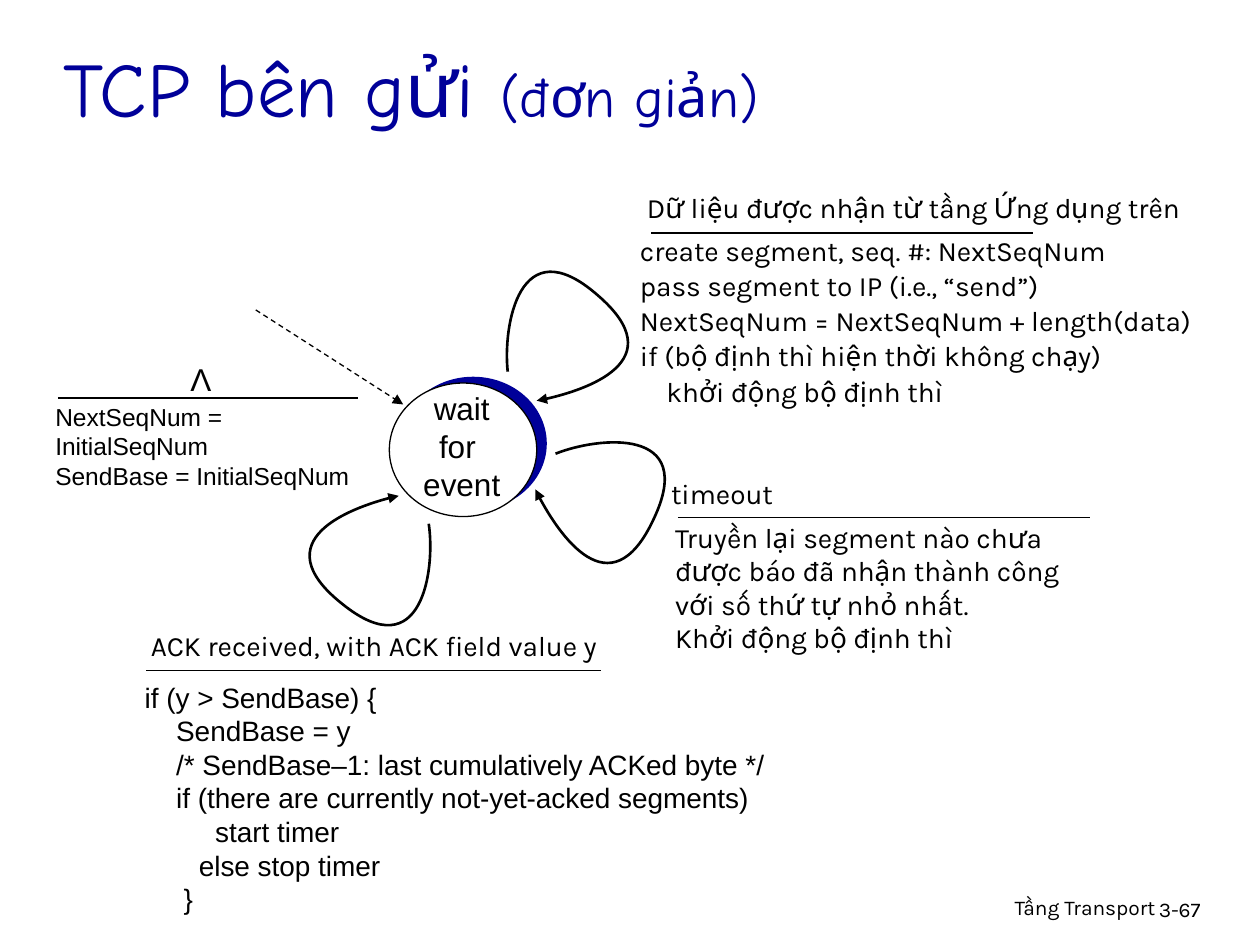
from dataclasses import dataclass
from typing import Optional

from lxml.etree import SubElement
from pptx import Presentation
from pptx.dml.color import RGBColor
from pptx.enum.dml import MSO_LINE_DASH_STYLE as Dash
from pptx.enum.shapes import MSO_CONNECTOR as Connector, MSO_SHAPE as Preset
from pptx.enum.text import MSO_ANCHOR as Anchor, MSO_AUTO_SIZE as Fit, PP_ALIGN as Align
from pptx.oxml.ns import qn
from pptx.util import Inches, Length, Pt

# The page is a grid of 100 columns by 75 rows of square cells
COLUMNS, ROWS = 100, 75
COLORS = {"ink": "000000", "navy": "000099", "paper": "FFFFFF"}
STATE_SIZE = (11.7, 10.6)
LOOP_POINTS = [(0.4, 11.5), (0, 7.9), (1.3, 0), (7.5, 5.4),
               (13.7, 10.7), (5.3, 13.4), (2.7, 13.8)]


@dataclass
class Label:
    column: float
    row: float
    columns: float
    rows: float
    lines: list[str]
    size: int = 16
    font: str = "Karla"
    color: str = "ink"
    align: Align = Align.LEFT
    wrap: bool = False
    anchor: Anchor = Anchor.TOP
    spacing: Optional[float] = None
    indents: tuple[float, ...] = ()


@dataclass
class Rule:
    start: tuple[float, float]
    end: tuple[float, float]
    arrow: bool = False


@dataclass
class Loop:
    column: float
    row: float
    rotation: float = 0


def cells(count: float) -> Length:
    return Inches(count / 10)


def rgb(name: str) -> RGBColor:
    return RGBColor.from_string(COLORS[name])


def add_arrowhead(shape) -> None:
    SubElement(shape.line._get_or_add_ln(), qn("a:tailEnd"), type="triangle")


def add_label(page, label: Label):
    box = page.shapes.add_textbox(*map(cells, (label.column, label.row,
                                               label.columns, label.rows)))
    frame = box.text_frame
    frame.word_wrap = label.wrap
    frame.auto_size = Fit.NONE if label.wrap else Fit.SHAPE_TO_FIT_TEXT
    frame.vertical_anchor = label.anchor
    frame.text = "\n".join(label.lines)
    for index, para in enumerate(frame.paragraphs):
        para.alignment = label.align
        para.line_spacing = label.spacing
        para.font.size = Pt(label.size)
        para.font.name = label.font
        para.font.color.rgb = rgb(label.color)
        if label.indents:
            para._p.get_or_add_pPr().set("marL", str(cells(label.indents[index])))
    return box


def add_rule(page, rule: Rule) -> None:
    line = page.shapes.add_connector(Connector.STRAIGHT,
                                     *map(cells, rule.start + rule.end))
    line.line.color.rgb = rgb("ink")
    line.line.width = Pt(0.75)
    if rule.arrow:
        line.line.dash_style = Dash.DASH
        add_arrowhead(line)
    SubElement(line._element.spPr, qn("a:effectLst"))


def add_state(page, column: float, row: float, fill: str, outlined: bool) -> None:
    oval = page.shapes.add_shape(Preset.OVAL, *map(cells, (column, row) + STATE_SIZE))
    oval.shadow.inherit = False
    oval.fill.solid()
    oval.fill.fore_color.rgb = rgb(fill)
    if outlined:
        oval.line.color.rgb = rgb("ink")
        oval.line.width = Pt(0.75)
    else:
        oval.line.fill.background()


def add_loop(page, loop: Loop) -> None:
    start, *rest = [(cells(x), cells(y)) for x, y in LOOP_POINTS]
    builder = page.shapes.build_freeform(*start)
    builder.add_line_segments(rest, close=False)
    shape = builder.convert_to_shape(cells(loop.column), cells(loop.row))
    # Every three straight segments become one Bézier curve
    outline = next(shape._element.iter(qn("a:path")))
    segments = outline.findall(qn("a:lnTo"))
    for first in range(0, len(segments), 3):
        curve = SubElement(outline, qn("a:cubicBezTo"))
        for segment in segments[first:first + 3]:
            curve.append(segment[0])
            outline.remove(segment)
    shape.rotation = loop.rotation
    shape.shadow.inherit = False
    shape.fill.background()
    shape.line.color.rgb = rgb("ink")
    shape.line.width = Pt(1.5)
    add_arrowhead(shape)


TITLE = Label(4.1, 2, 84.6, 9.8, ["TCP bên gửi "], 44, "Comic Neue", "navy",
              wrap=True, anchor=Anchor.MIDDLE)

LABELS = [
    # Footer
    Label(61, 70.5, 31.7, 3.1, ["Tầng Transport"], 12, align=Align.RIGHT, wrap=True),
    Label(91, 70.7, 7.4, 3, ["3-67"], 12, wrap=True),
    # State and its initial action
    Label(32.6, 30.4, 8.1, 10, ["wait", "for ", "event"], 18, "Arial", align=Align.CENTER),
    Label(14.1, 28.1, 3.7, 4, ["Λ"], 18, "Arial", align=Align.CENTER),
    Label(3.4, 31.4, 27.9, 5.7,
          ["NextSeqNum = InitialSeqNum", "SendBase = InitialSeqNum"], 14, "Arial"),
    # Data from above
    Label(49.8, 14.6, 45.4, 3.7, ["Dữ liệu được nhận từ tầng Ứng dụng trên"],
          align=Align.CENTER),
    Label(49.8, 17.9, 47.8, 17.7,
          ["create segment, seq. #: NextSeqNum",
           "pass segment to IP (i.e., “send”)",
           "NextSeqNum = NextSeqNum + length(data)",
           "if (bộ định thì hiện thời không chạy)",
           "khởi động bộ định thì"],
          spacing=1.05, indents=(0, 0, 0, 0, 2.1)),
    # Timeout
    Label(52.2, 37.3, 10.2, 3.7, ["timeout"], align=Align.CENTER),
    Label(52.6, 40.8, 36, 11.7,
          ["Truyền lại segment nào chưa được báo đã nhận thành công "
           "với số thứ tự nhỏ nhất.",
           "Khởi động bộ định thì"], wrap=True),
    # ACK received
    Label(10.2, 49.4, 39.5, 3.7, ["ACK received, with ACK field value y "],
          align=Align.CENTER),
    Label(10.5, 53.5, 51.3, 19.7,
          ["if (y > SendBase) {",
           "SendBase = y",
           "/* SendBase–1: last cumulatively ACKed byte */",
           "if (there are currently not-yet-acked segments)",
           "start timer",
           "else stop timer",
           "}"],
          font="Arial", indents=(0, 2.5, 2.5, 2.5, 5.6, 4.3, 3.1)),
]

RULES = [
    Rule((20.3, 24.6), (32, 32.1), arrow=True),
    Rule((4.6, 31.6), (28.4, 31.6)),
    Rule((51.7, 18.5), (82, 18.5)),
    Rule((53.8, 41.1), (86.5, 41.1)),
    Rule((11.6, 53.2), (47.7, 53.2)),
]

LOOPS = [Loop(39.9, 18), Loop(43.4, 34.1, 74.5), Loop(20.9, 39.5, 177.9)]


def main() -> None:
    deck = Presentation()
    deck.slide_width, deck.slide_height = cells(COLUMNS), cells(ROWS)
    page = deck.slides.add_slide(deck.slide_layouts[6])

    add_state(page, 31.7, 29.9, "navy", outlined=False)
    add_state(page, 30.9, 30.4, "paper", outlined=True)
    title = add_label(page, TITLE)
    span = title.text_frame.paragraphs[0].add_run()
    span.text = "(đơn giản)"
    span.font.size = Pt(32)
    for label in LABELS:
        add_label(page, label)
    for rule in RULES:
        add_rule(page, rule)
    for loop in LOOPS:
        add_loop(page, loop)
    deck.save("out.pptx")


if __name__ == "__main__":
    main()
